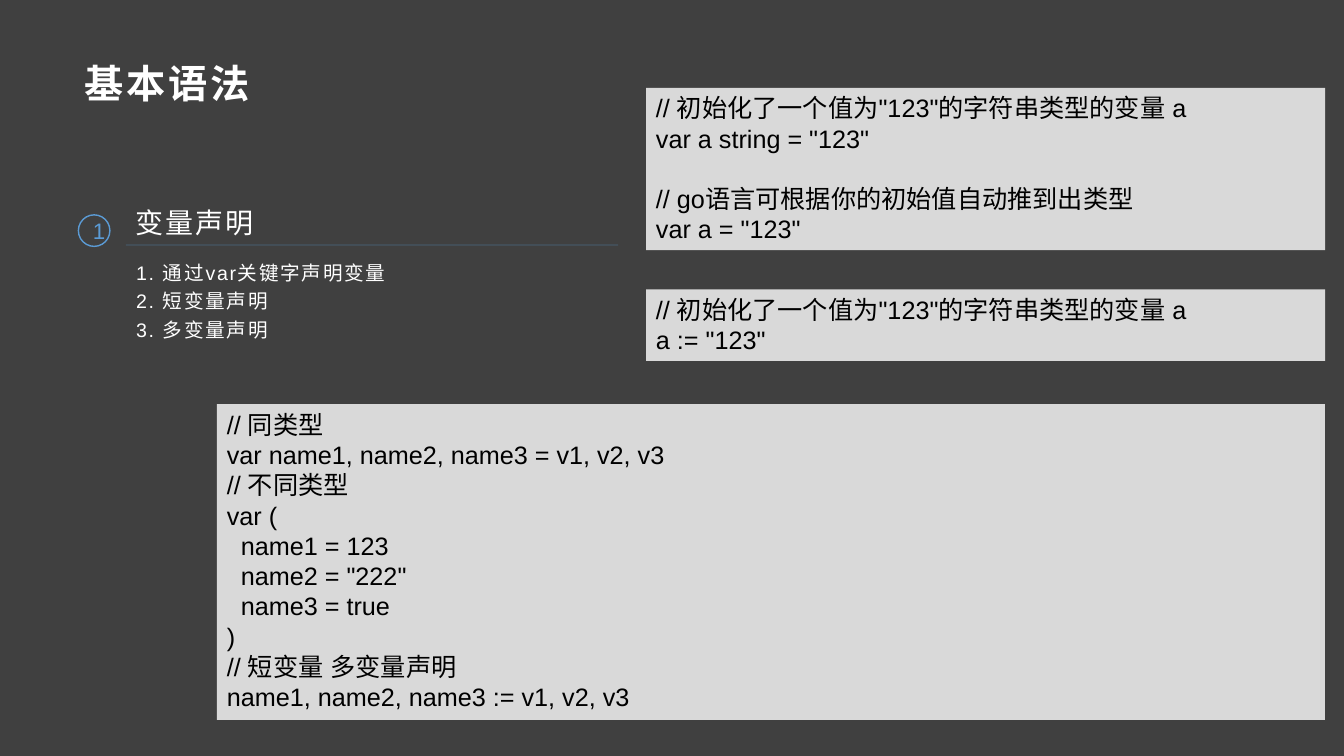
from lxml.etree import SubElement
from pptx import Presentation
from pptx.dml.color import RGBColor
from pptx.enum.shapes import MSO_CONNECTOR, MSO_SHAPE
from pptx.enum.text import MSO_ANCHOR, MSO_AUTO_SIZE, PP_ALIGN
from pptx.oxml.ns import qn
from pptx.util import Pt

# Content
TITLE = ["基本语法"]
HEADING = ["变量声明"]
NUMBER = ["1"]
TOPICS = ["1. 通过var关键字声明变量", "2. 短变量声明", "3. 多变量声明"]
INIT_COMMENT = "// 初始化了一个值为\"123\"的字符串类型的变量 a"
TYPED_CODE = [
    INIT_COMMENT,
    "var a string = \"123\"",
    "// go语言可根据你的初始值自动推到出类型",
    "var a = \"123\"",
]
SHORT_CODE = [INIT_COMMENT, "a := \"123\""]
MULTI_CODE = [
    "// 同类型",
    "var name1, name2, name3 = v1, v2, v3",
    "// 不同类型",
    "var (",
    "  name1 = 123",
    "  name2 = \"222\"",
    "  name3 = true",
    ")",
    "// 短变量 多变量声明",
    "name1, name2, name3 := v1, v2, v3",
]

# Look
COLORS = {"back": "404040", "panel": "D9D9D9", "accent": "5B9BD5",
          "light": "FFFFFF", "code": "000000"}
FONT = "Arial"
CODE_LINE = 21.5

# Layout, in points
TEXT_LEFT, TEXT_WIDTH = 90, 351.5
RULE_TOP = 175
PANEL_RIGHT = 946.5
PANELS = [  # left, top, height, lines, indexes of lines that open a new block
    (461.5, 62.75, 116, TYPED_CODE, {2}),
    (461.5, 206.75, 51, SHORT_CODE, set()),
    (155, 288.75, 225.5, MULTI_CODE, set()),
]


def color(name):
    return RGBColor.from_string(COLORS[name])


def place(shape, left, top, width, height):
    box = {"left": left, "top": top, "width": width, "height": height}
    for name, value in box.items():
        setattr(shape, name, Pt(value))


def write(shape, lines, size, ink, bold=False, spacing=0, line_spacing=1.0,
          align=PP_ALIGN.LEFT, anchor=MSO_ANCHOR.TOP,
          fit=MSO_AUTO_SIZE.NONE, block_starts=()):
    frame = shape.text_frame
    frame_format = {"word_wrap": True, "auto_size": fit, "vertical_anchor": anchor}
    for name, value in frame_format.items():
        setattr(frame, name, value)
    for index, line in enumerate(lines):
        para = frame.add_paragraph() if index else frame.paragraphs[0]
        gap = CODE_LINE if index in block_starts else 0
        para_format = {"alignment": align, "line_spacing": line_spacing,
                       "space_before": Pt(gap), "space_after": Pt(0)}
        for name, value in para_format.items():
            setattr(para, name, value)
        span = para.add_run()
        span.text = line
        for name, value in {"name": FONT, "size": Pt(size), "bold": bold}.items():
            setattr(span.font, name, value)
        span.font.color.rgb = color(ink)
        properties = span._r.get_or_add_rPr()
        SubElement(properties, qn("a:ea")).set("typeface", FONT)
        if spacing:
            properties.set("spc", str(round(spacing * 100)))


deck = Presentation()
deck.slide_width, deck.slide_height = Pt(960), Pt(540)
page = deck.slides.add_slide(deck.slide_layouts[1])
page.background.fill.solid()
page.background.fill.fore_color.rgb = color("back")

# Rule under the heading
rule = page.shapes.add_connector(
    MSO_CONNECTOR.STRAIGHT, Pt(TEXT_LEFT), Pt(RULE_TOP),
    Pt(TEXT_LEFT + TEXT_WIDTH), Pt(RULE_TOP))
rule.line.width = Pt(0.5)
rule.line.color.rgb = color("accent")
SubElement(rule._element.spPr, qn("a:effectLst"))
rule_color = next(rule._element.iter(qn("a:srgbClr")))
SubElement(rule_color, qn("a:alpha")).set("val", "44000")

# Title
title = page.shapes.title
place(title, 52.5, 34, 854.5, 51)
title.text_frame.margin_left = Pt(7.9)
title.text_frame.margin_right = Pt(5.75)
write(title, TITLE, 28, "light", bold=True, spacing=2, anchor=MSO_ANCHOR.MIDDLE)

# Heading with its number
heading = page.shapes.add_textbox(Pt(TEXT_LEFT), Pt(140.5), Pt(TEXT_WIDTH), Pt(34))
write(heading, HEADING, 20, "light", spacing=1.2, line_spacing=1.1)

badge = page.shapes.add_shape(MSO_SHAPE.OVAL, Pt(56), Pt(153.5), Pt(22.5), Pt(22.5))
badge.shadow.inherit = False
badge.fill.background()
badge.line.color.rgb = color("accent")
badge.line.width = Pt(1)
write(badge, NUMBER, 16, "accent", align=PP_ALIGN.CENTER, anchor=MSO_ANCHOR.MIDDLE)

# Topic list
topics = page.placeholders[1]
place(topics, TEXT_LEFT, 179.5, TEXT_WIDTH, 70.5)
write(topics, TOPICS, 14, "light", spacing=1.2, line_spacing=1.2)
for para in topics.text_frame.paragraphs:
    para_properties = para._p.get_or_add_pPr()
    para_properties.set("marL", "0")
    para_properties.set("indent", "0")
    SubElement(para_properties, qn("a:buNone"))

# Code panels
for left, top, height, lines, block_starts in PANELS:
    panel = page.shapes.add_shape(
        MSO_SHAPE.RECTANGLE, Pt(left), Pt(top), Pt(PANEL_RIGHT - left), Pt(height))
    panel.shadow.inherit = False
    panel.fill.solid()
    panel.fill.fore_color.rgb = color("panel")
    panel.line.fill.background()
    write(panel, lines, 18, "code", fit=MSO_AUTO_SIZE.SHAPE_TO_FIT_TEXT,
          block_starts=block_starts)

deck.save("out.pptx")
